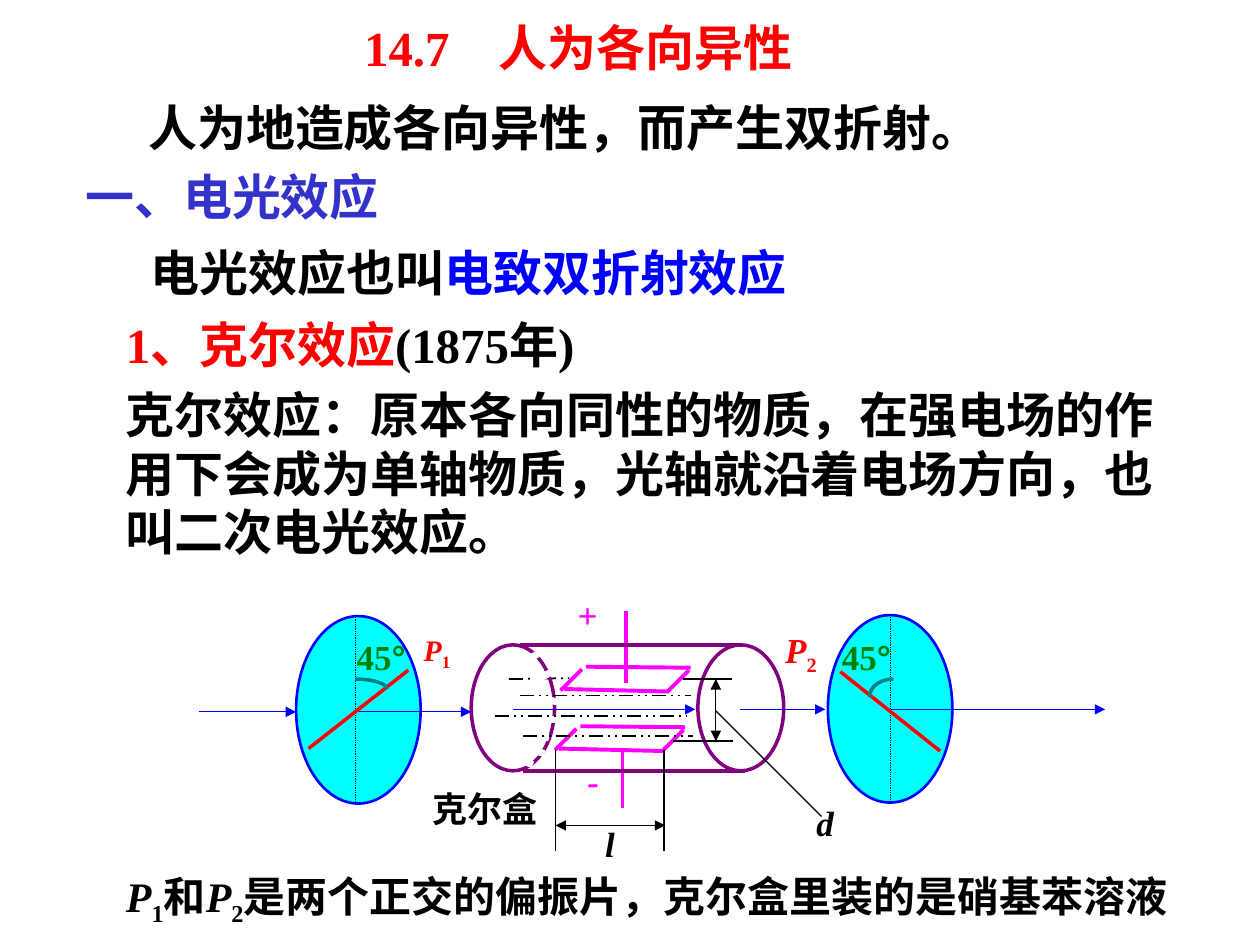
from math import cos, pi, sin
from lxml import etree
from pptx import Presentation
from pptx import util as u
from pptx.dml.color import RGBColor
from pptx.enum import dml, shapes, text
from pptx.oxml.ns import qn

THEME = {
    "black": "000000", "white": "FFFFFF", "red": "FF0000", "blue": "0000FF",
    "indigo": "3333CC", "magenta": "FF00FF", "purple": "800080",
    "cyan": "00FFFF", "teal": "008080", "green": "008000",
    "roman": "Times New Roman", "cjk": "Noto Sans CJK SC", "sans": "Arial",
    "heading": 28, "note": 24, "label": 20, "small": 17,
    "leading": 1.2, "cjk_drop": 0.1,
}

# Text: left, top, width, height (cm), size, alignment, runs
# Run: text, colour, font, flags (i italic, s subscript)
LEFT, JUST = text.PP_ALIGN.LEFT, text.PP_ALIGN.JUSTIFY
BODY = [
    (7.09, 0.13, 10.21, 1.45, "heading", JUST, [("14.7　人为各向异性", "red", "roman")]),
    (2.74, 1.73, 19.89, 1.45, "heading", LEFT,
     [("人为地造成各向异性，而产生双折射。", "black", "cjk")]),
    (1.47, 3.12, 9.53, 1.45, "heading", JUST, [("一、电光效应", "indigo", "cjk")]),
    (2.79, 4.67, 16.51, 1.45, "heading", LEFT,
     [("电光效应也叫", "black", "cjk"), ("电致双折射效应", "blue", "cjk")]),
    (2.29, 6.12, 11.23, 1.45, "heading", LEFT,
     [("1、", "red", "roman"), ("克尔效应", "red", "cjk"), ("(1875", "black", "roman"),
      ("年", "black", "cjk"), (")", "black", "roman")]),
    (2.29, 7.52, 21.59, 3.81, "heading", LEFT,
     [("克尔效应：原本各向同性的物质，在强电场的作用下会成为单轴物质，"
       "光轴就沿着电场方向，也叫二次电光效应。", "black", "cjk")]),
    (16.21, 16.03, 1.45, 1.24, "label", JUST, [("d", "black", "roman", "i")]),
]
NOTE = (2.29, 17.45, 22.12, 1.42, "note", LEFT,
        [("P", "black", "roman", "i"), ("1", "black", "roman", "s"),
         ("和", "black", "roman"), ("P", "black", "roman", "i"),
         ("2", "black", "roman", "s"),
         ("是两个正交的偏振片，克尔盒里装的是硝基苯溶液", "black", "roman")])
ANGLE = [("45", "green", "roman"), ("°", "green", "sans")]
LABELS = [
    (12.17, 16.56, 1.47, 0.97, "label", JUST, [("l", "black", "roman", "i")]),
    (11.61, 11.94, 1.17, 1.45, "label", JUST, [("+", "magenta", "roman", "i")]),
    (11.81, 15.29, 0.94, 1.22, "label", JUST, [("-", "magenta", "roman", "i")]),
    (7.16, 12.78, 2.16, 1.37, "label", JUST, ANGLE),
    (16.94, 12.78, 1.68, 1.12, "label", JUST, ANGLE),
    (8.51, 12.7, 1.17, 0.97, "small", JUST,
     [("P", "red", "roman", "i"), ("1", "red", "roman", "s")]),
    (15.8, 12.65, 1.22, 1.04, "label", JUST,
     [("P", "red", "roman", "i"), ("2", "red", "roman", "s")]),
    (8.69, 15.75, 3.15, 1.22, "label", JUST, [("克尔盒", "black", "roman")]),
]

# Line styles: colour, width (pt), dash, arrowheads
STYLES = {
    "liquid": ("black", 1, dml.MSO_LINE.DASH_DOT_DOT, ()),
    "plate": ("magenta", 2.25, None, ()),
    "lead": ("magenta", 2, None, ()),
    "vertical": ("black", 0.5, dml.MSO_LINE.ROUND_DOT, ()),
    "polarization": ("red", 2, None, ()),
    "cell": ("purple", 2, None, ()),
    "ray": ("blue", 0.75, None, ("tailEnd",)),
    "gap": ("white", 4, None, ()),
    "extension": ("black", 1, None, ()),
    "thin": ("black", 0.75, None, ()),
    "dimension": ("black", 0.75, None, ("headEnd", "tailEnd")),
}
PLATE = [(11.73, 13.49, 11.3, 13.92), (11.81, 13.44, 13.92, 13.46),
         (11.38, 13.89, 13.49, 13.94), (13.89, 13.51, 13.46, 13.94)]
LOWER_PLATE = (-0.11, 1.2)
RAY_Y = 14.3
BEHIND = [
    ("liquid", [(10.26, 13.69, 11.48, 13.67)]),
    ("plate", PLATE + [(x1 + dx, y1 + dy, x2 + dx, y2 + dy)
                       for dx, dy in [LOWER_PLATE] for x1, y1, x2, y2 in PLATE]),
    ("lead", [(12.62, 12.32, 12.62, 13.77), (12.55, 15.11, 12.55, 16.28)]),
]
IN_FRONT = [
    ("vertical", [(7.17, 12.4, 7.17, 16.18), (17.96, 12.4, 17.96, 16.18)]),
    ("polarization", [(6.22, 15.09, 8.23, 13.51), (18.95, 15.14, 16.94, 13.54)]),
    ("cell", [(10.49, 13, 14.96, 13), (10.54, 15.54, 15.01, 15.54)]),
    ("ray", [(4.01, 14.35, 5.97, 14.35), (7.24, 14.35, 9.5, 14.35)]
     + [(a, RAY_Y, b, RAY_Y) for a, b in [(10.34, 14.02), (14.91, 16.64), (17.96, 22.28)]]),
    ("gap", [(10.59, 13.31, 10.85, 13.18), (10.8, 13.72, 11.18, 13.51),
             (11.02, 14.1, 11.23, 14.15), (10.97, 14.5, 11.28, 14.5),
             (10.85, 14.81, 11.07, 14.88), (10.64, 15.09, 10.97, 15.19),
             (10.44, 15.29, 10.74, 15.42)]),
    ("extension", [(x, 15.11, x, 17.15) for x in (11.2, 13.39)]),
    ("liquid", [(10.49, 14.02, 13.92, 14.02), (9.98, 14.43, 13.84, 14.43),
                (10.54, 14.83, 13.97, 14.83)]),
    ("thin", [(13.77, 13.69, 14.76, 13.69), (13.56, 14.94, 14.78, 14.94),
              (14.43, 14.33, 16.56, 16.46)]),
    ("dimension", [(11.2, 16.64, 13.41, 16.64), (14.43, 13.69, 14.43, 14.94)]),
]
# Ellipses: left, top, width, height, fill, line colour, line width
ELLIPSES = [
    (5.97, 12.42, 2.51, 3.78, "cyan", "blue", 1.5),
    (16.69, 12.4, 2.51, 3.78, "cyan", "blue", 1.5),
    (9.5, 13, 1.68, 2.54, None, "purple", 2),
    (14.07, 13, 1.73, 2.54, None, "purple", 2),
]
ARCS = [(7.16, 13.69, 0.64, 0.2), (18.01, 13.69, -0.48, 0.36)]


def rgb(name):
    return RGBColor.from_string(THEME[name])


def outline(sp, colour, width):
    sp.line.color.rgb = rgb(colour)
    sp.line.width = u.Pt(width)


def add_lines(s, style, segments):
    colour, width, dash, heads = STYLES[style]
    for segment in segments:
        sp = s.shapes.add_connector(shapes.MSO_CONNECTOR.STRAIGHT, *map(u.Cm, segment))
        outline(sp, colour, width)
        if dash:
            sp.line.dash_style = dash
        ln = sp.line._get_or_add_ln()
        for head in heads:
            etree.SubElement(ln, qn("a:" + head), type="triangle")
        etree.SubElement(sp._element.spPr, qn("a:effectLst"))


def add_ellipse(s, x, y, w, h, fill, colour, width):
    sp = s.shapes.add_shape(shapes.MSO_SHAPE.OVAL, *map(u.Cm, (x, y, w, h)))
    sp.shadow.inherit = False
    if fill:
        sp.fill.solid()
        sp.fill.fore_color.rgb = rgb(fill)
    else:
        sp.fill.background()
    outline(sp, colour, width)


def add_arc(s, x, y, dx, dy, steps=16):
    """Quarter ellipse that leaves (x, y) level and ends dx across, dy down."""
    angles = [pi / 2 * i / steps for i in range(steps + 1)]
    points = [(u.Cm(x + dx * sin(a)), u.Cm(y + dy * (1 - cos(a)))) for a in angles]
    builder = s.shapes.build_freeform(*points[0])
    builder.add_line_segments(points[1:], close=False)
    sp = builder.convert_to_shape()
    sp.shadow.inherit = False
    sp.fill.background()
    outline(sp, "teal", 2)


def add_text(s, x, y, w, h, size, align, runs, inset=(0.25, 0.13), wrap=True):
    tf = s.shapes.add_textbox(*map(u.Cm, (x, y, w, h))).text_frame
    tf.word_wrap = wrap
    tf.margin_left = tf.margin_right = u.Cm(inset[0])
    tf.margin_top = tf.margin_bottom = u.Cm(inset[1])
    p = tf.paragraphs[0]
    p.alignment = align
    if any(c >= "一" for run in runs for c in run[0]):
        p.line_spacing = u.Pt(THEME[size] * THEME["leading"])
        tf.margin_top = u.Cm(inset[1] + THEME["cjk_drop"])
    for content, colour, font, *flags in runs:
        r = p.add_run()
        r.text = content
        r.font.size = u.Pt(THEME[size])
        r.font.bold = True
        r.font.italic = "i" in flags
        r.font.color.rgb = rgb(colour)
        r.font.name = THEME[font]
        rpr = r._r.get_or_add_rPr()
        etree.SubElement(rpr, qn("a:ea"), typeface=THEME["cjk"])
        if "s" in flags:
            rpr.set("baseline", "-25000")


def main():
    prs = Presentation()
    prs.slide_width, prs.slide_height = u.Cm(25.4), u.Cm(19.05)
    s = prs.slides.add_slide(prs.slide_layouts[6])
    for style, segments in BEHIND:
        add_lines(s, style, segments)
    for ellipse in ELLIPSES:
        add_ellipse(s, *ellipse)
    for style, segments in IN_FRONT:
        add_lines(s, style, segments)
    for arc in ARCS:
        add_arc(s, *arc)
    for label in LABELS:
        add_text(s, *label, inset=(0.03, 0.03))
    for block in BODY:
        add_text(s, *block)
    add_text(s, *NOTE, wrap=False)
    prs.save("out.pptx")


if __name__ == "__main__":
    main()
